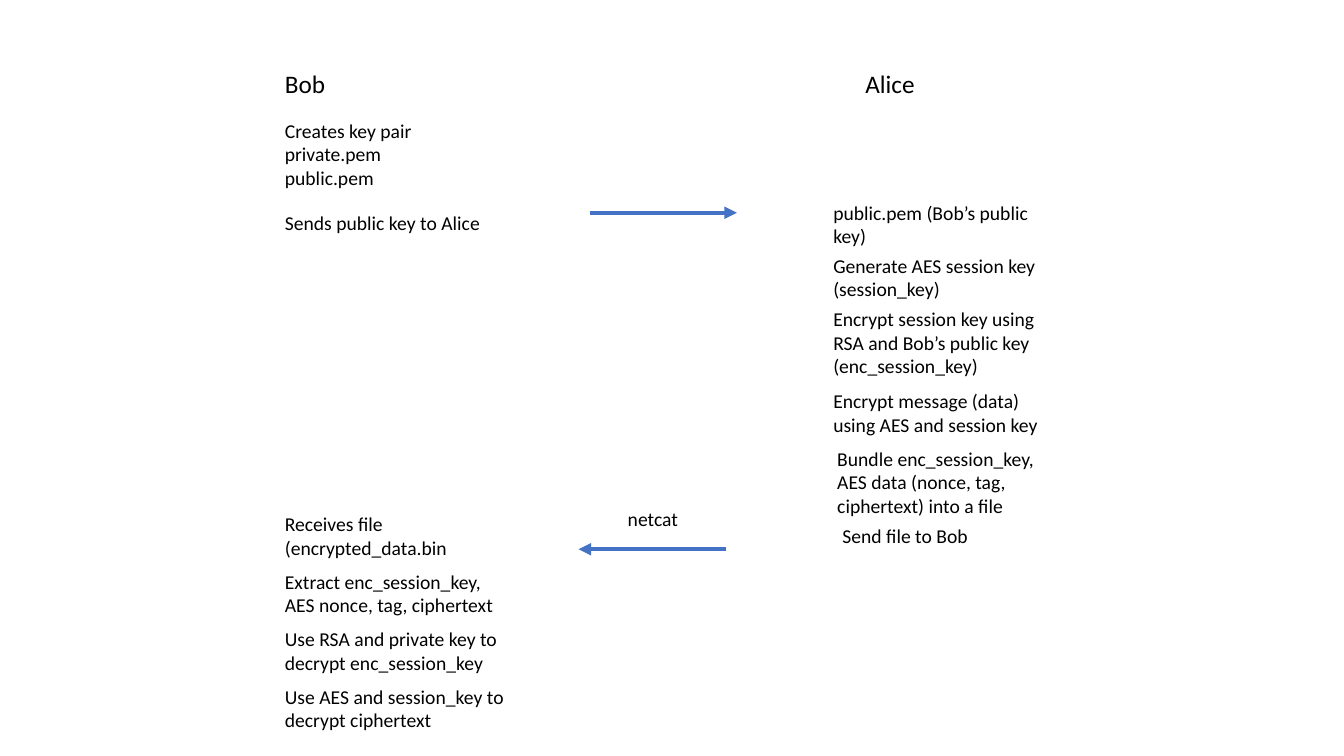
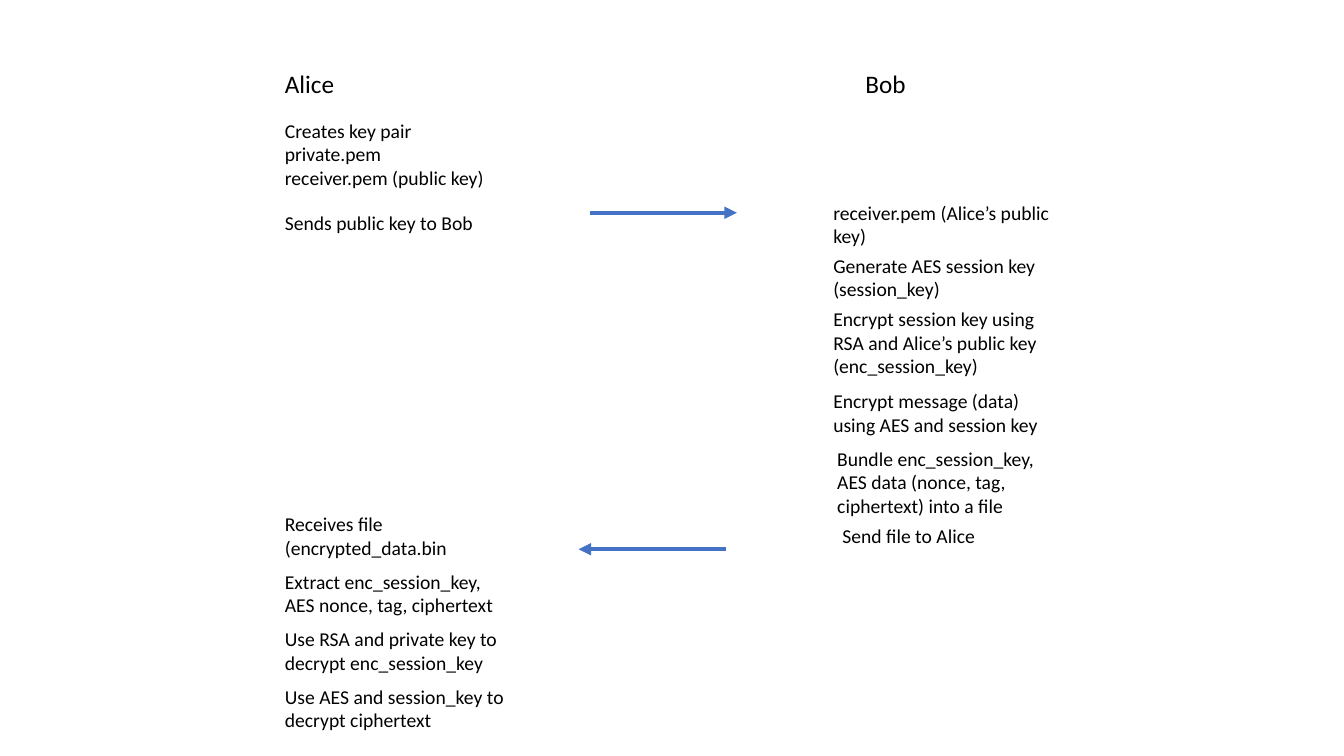
import dataclasses

import lxml.etree
import pptx
import pptx.dml.color
import pptx.enum.shapes
import pptx.enum.text
import pptx.oxml.ns
import pptx.util

Cm = pptx.util.Cm
Pt = pptx.util.Pt


@dataclasses.dataclass(frozen=True)
class Theme:
    font: str = "Calibri"
    text: str = "000000"
    arrow: str = "4472C4"
    name_size: int = 18
    step_size: int = 14
    arrow_weight: int = 3
    step_width: float = 6.17
    name_width: float = 2.67
    label_width: float = 2.18
    arrow_length: float = 3.71


THEME = Theme()
LINE_HEIGHTS = {1: 0.86, 2: 1.45, 3: 2.06}
NAME_HEIGHT = 1.02


def add_text(s, left, top, width, height, paragraphs, size=THEME.step_size):
    sp = s.shapes.add_textbox(Cm(left), Cm(top), Cm(width), Cm(height))
    tf = sp.text_frame
    tf.word_wrap = True
    tf.auto_size = pptx.enum.text.MSO_AUTO_SIZE.SHAPE_TO_FIT_TEXT
    for i, text in enumerate(paragraphs):
        p = tf.add_paragraph() if i else tf.paragraphs[0]
        r = p.add_run()
        r.text = text
        r.font.name = THEME.font
        r.font.size = Pt(size)
        r.font.color.rgb = pptx.dml.color.RGBColor.from_string(THEME.text)


def add_name(s, left, top, name):
    add_text(s, left, top, THEME.name_width, NAME_HEIGHT, [name], THEME.name_size)


def add_steps(s, left, top, steps):
    """Place steps given as (dx, dy, line count, paragraphs) from the column's corner."""
    for dx, dy, lines, paragraphs in steps:
        add_text(s, left + dx, top + dy, THEME.step_width, LINE_HEIGHTS[lines], paragraphs)


def add_arrow(s, left, top, arrow_end, label=None):
    """Draw a level arrow pointing right (tailEnd) or left (headEnd)."""
    c = s.shapes.add_connector(
        pptx.enum.shapes.MSO_CONNECTOR.STRAIGHT,
        Cm(left), Cm(top), Cm(left + THEME.arrow_length), Cm(top))
    c.line.color.rgb = pptx.dml.color.RGBColor.from_string(THEME.arrow)
    c.line.width = Pt(THEME.arrow_weight)
    qn = pptx.oxml.ns.qn
    lxml.etree.SubElement(c.line._get_or_add_ln(), qn(f"a:{arrow_end}"), type="triangle")
    lxml.etree.SubElement(c._element.spPr, qn("a:effectLst"))
    if label:
        add_text(s, left + 0.99, top - 1.19, THEME.label_width, LINE_HEIGHTS[1], [label])


def add_receiver_column(s, left, top, receiver, sender, key_line):
    add_name(s, left, top, receiver)
    add_steps(s, left, top, [
        (0, 1.27, 3, ["Creates key pair", "private.pem", key_line]),
        (0, 3.58, 1, [f"Sends public key to {sender}"]),
    ])
    decrypt_steps = [
        "Receives file (encrypted_data.bin",
        "Extract enc_session_key, AES nonce, tag, ciphertext",
        "Use RSA and private key to decrypt enc_session_key",
        "Use AES and session_key to decrypt ciphertext",
    ]
    add_steps(s, left, top + 11.18, [
        (0, i * LINE_HEIGHTS[2], 2, [text]) for i, text in enumerate(decrypt_steps)])


def add_sender_column(s, left, top, receiver, sender, key_file):
    add_name(s, left + 0.81, top, sender)
    add_steps(s, left, top, [
        (0, 3.33, 2, [f"{key_file} ({receiver}’s public key)"]),
        (0, 4.67, 2, ["Generate AES session key (session_key)"]),
        (0, 6.02, 3, [f"Encrypt session key using RSA and {receiver}’s public key "
                      "(enc_session_key)"]),
        (0, 8.08, 2, ["Encrypt message (data) using AES and session key"]),
        (0.1, 9.53, 3, ["Bundle enc_session_key, AES data (nonce, tag, ciphertext) "
                        "into a file"]),
        (0.23, 11.48, 1, [f"Send file to {receiver}"]),
    ])


def add_exchange_slide(prs, receiver, sender, key_file, key_note="", channel=None):
    s = prs.slides.add_slide(prs.slide_layouts[6])
    add_receiver_column(s, 6.93, 1.6, receiver, sender, key_file + key_note)
    add_arrow(s, 14.86, 5.36, "tailEnd")
    add_sender_column(s, 20.75, 1.6, receiver, sender, key_file)
    add_arrow(s, 14.58, 13.84, "headEnd", channel)


def main():
    prs = pptx.Presentation()
    prs.slide_width, prs.slide_height = Cm(33.87), Cm(19.05)
    add_exchange_slide(prs, "Bob", "Alice", "public.pem", channel="netcat")
    add_exchange_slide(prs, "Alice", "Bob", "receiver.pem", key_note=" (public key)")
    prs.save("out.pptx")


if __name__ == "__main__":
    main()
